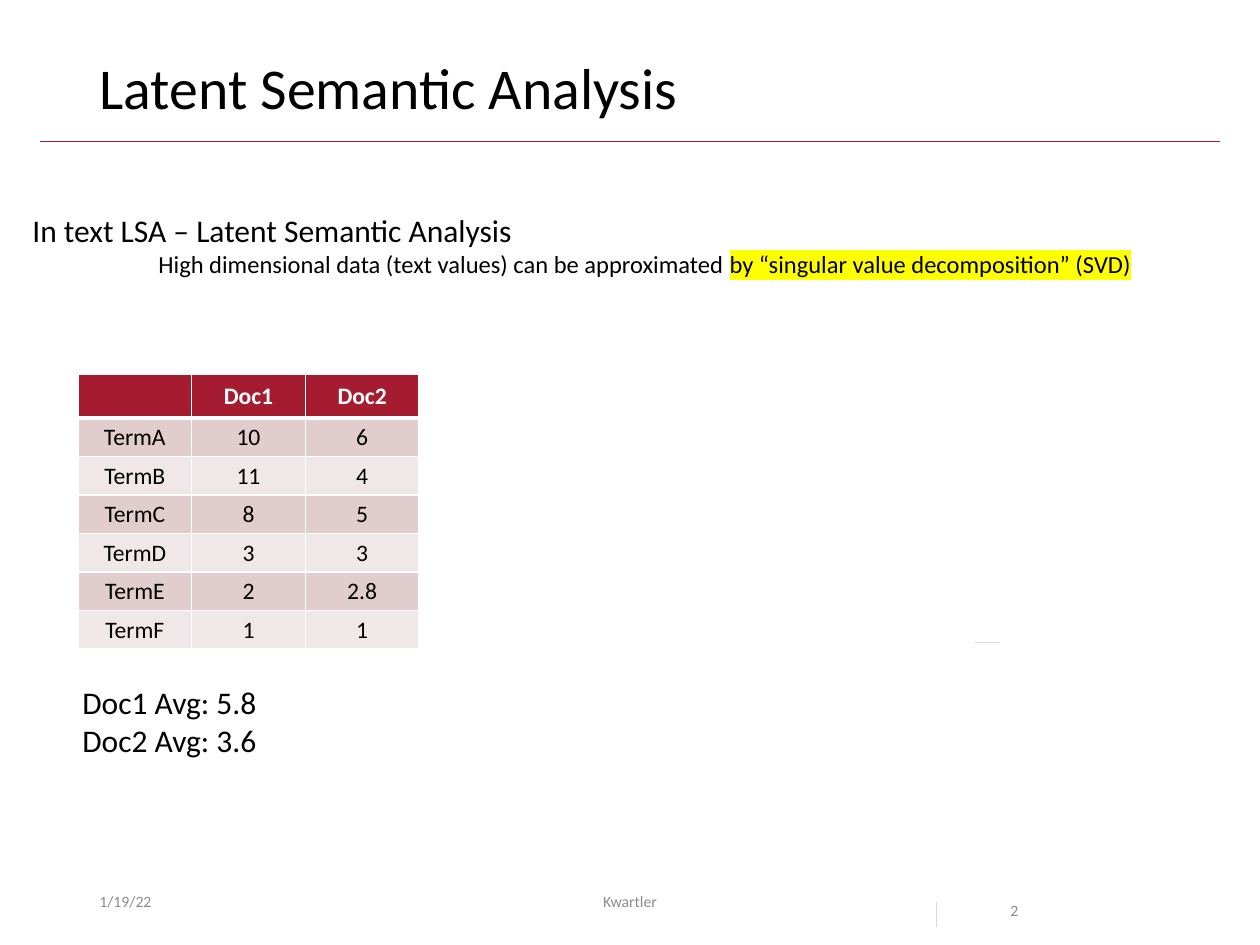
from lxml.etree import SubElement
from pptx import Presentation
from pptx.dml.color import RGBColor
from pptx.enum.shapes import MSO_CONNECTOR
from pptx.enum.text import MSO_ANCHOR as ANCHOR, MSO_AUTO_SIZE as AUTO, PP_ALIGN as ALIGN
from pptx.oxml import parse_xml
from pptx.oxml.ns import nsdecls, qn
from pptx.util import Pt

PX = 914400 // 126
FONT = "Calibri"
BLACK = RGBColor(0x00, 0x00, 0x00)
WHITE = RGBColor(0xFF, 0xFF, 0xFF)
GRAY = RGBColor(0x8C, 0x8C, 0x8C)
PALE_GRAY = RGBColor(0xD9, 0xD9, 0xD9)
CRIMSON = RGBColor(0xA5, 0x1C, 0x30)
PINK = RGBColor(0xE1, 0xCD, 0xCD)
PALE_PINK = RGBColor(0xF0, 0xE8, 0xE8)
YELLOW = RGBColor(0xFF, 0xFF, 0x00)

# Content
TITLE = "Latent Semantic Analysis"
INTRO = "In text LSA – Latent Semantic Analysis"
DETAIL = "High dimensional data (text values) can be approximated "
KEY_POINT = "by “singular value decomposition” (SVD)"
COUNTS = [
    ("", "Doc1", "Doc2"),
    ("TermA", "10", "6"),
    ("TermB", "11", "4"),
    ("TermC", "8", "5"),
    ("TermD", "3", "3"),
    ("TermE", "2", "2.8"),
    ("TermF", "1", "1"),
]
AVERAGES = ["Doc1 Avg: 5.8", "Doc2 Avg: 3.6"]
# text, box, alignment, anchor, line spacing
FOOTERS = [
    ("1/19/22", (87, 876, 284, 50), ALIGN.LEFT, ANCHOR.MIDDLE, 1),
    ("Kwartler", (417, 876, 426, 50), ALIGN.CENTER, ANCHOR.MIDDLE, 1),
    ("2", (998, 876, 118, 50), ALIGN.LEFT, ANCHOR.TOP, 2),
]
# start, end, colour
RULES = [
    ((40, 141), (1220, 141), CRIMSON),
    ((936, 902), (936, 927), PALE_GRAY),
    ((975, 642), (1000, 642), PALE_GRAY),
]
TABLE_BOX = (78, 374, 341, 275)
HEADER_H = 44


def emu(*lengths):
    return [int(n * PX) for n in lengths]


def add_run(p, text, size, color=BLACK, bold=False, highlight=None):
    r = p.add_run()
    r.text = text
    r.font.name, r.font.size, r.font.bold = FONT, Pt(size), bold
    r.font.color.rgb = color
    if highlight is not None:
        mark = parse_xml(f'<a:highlight {nsdecls("a")}><a:srgbClr val="{highlight}"/></a:highlight>')
        r.font._element.find(qn("a:solidFill")).addnext(mark)


def add_text_box(slide, box, wrap=True):
    tf = slide.shapes.add_textbox(*emu(*box)).text_frame
    tf.word_wrap = wrap
    return tf


def set_borders(cell, bottom_pt):
    tcPr = cell._tc.get_or_add_tcPr()
    for i, side in enumerate(("L", "R", "T", "B")):
        width = Pt(bottom_pt if side == "B" else 1)
        tcPr.insert(i, parse_xml(
            f'<a:ln{side} {nsdecls("a")} w="{width}"><a:solidFill>'
            f'<a:srgbClr val="{WHITE}"/></a:solidFill></a:ln{side}>'))


prs = Presentation()
prs.slide_width, prs.slide_height = emu(1260, 945)
slide = prs.slides.add_slide(prs.slide_layouts[5])

# Title
title = slide.shapes.title
title.left, title.top, title.width, title.height = emu(87, 50, 1086, 82)
tf = title.text_frame
tf.vertical_anchor = ANCHOR.MIDDLE
p = tf.paragraphs[0]
p.alignment, p.line_spacing = ALIGN.LEFT, 0.9
add_run(p, TITLE, 33)

# Rules
for start, end, color in RULES:
    line = slide.shapes.add_connector(MSO_CONNECTOR.STRAIGHT, *emu(*start, *end))
    line.line.color.rgb, line.line.width = color, Pt(0.5)
    SubElement(line._element.spPr, qn("a:effectLst"))

# Footer
for text, box, align, anchor, spacing in FOOTERS:
    tf = add_text_box(slide, box)
    tf.vertical_anchor = anchor
    p = tf.paragraphs[0]
    p.alignment, p.line_spacing = align, spacing
    add_run(p, text, 9, GRAY)

# Introduction, with the detail indented by one inch
tf = add_text_box(slide, (20, 205, 1221, 90))
tf.auto_size = AUTO.SHAPE_TO_FIT_TEXT
add_run(tf.paragraphs[0], INTRO, 18)
p = tf.add_paragraph()
p._p.get_or_add_pPr().set("marL", str(126 * PX))
add_run(p, DETAIL, 14)
add_run(p, KEY_POINT, 14, highlight=YELLOW)

# Term counts
n_rows, n_cols = len(COUNTS), len(COUNTS[0])
table = slide.shapes.add_table(n_rows, n_cols, *emu(*TABLE_BOX)).table
for col in table.columns:
    col.width = emu(TABLE_BOX[2] / n_cols)[0]
body_h = (TABLE_BOX[3] - HEADER_H) / (n_rows - 1)
for i, values in enumerate(COUNTS):
    header = i == 0
    table.rows[i].height = emu(HEADER_H if header else body_h)[0]
    fill = CRIMSON if header else (PINK if i % 2 else PALE_PINK)
    for j, value in enumerate(values):
        cell = table.cell(i, j)
        cell.fill.solid()
        cell.fill.fore_color.rgb = fill
        cell.margin_left = cell.margin_right = cell.margin_top = PX
        cell.margin_bottom = 0
        cell.vertical_anchor = ANCHOR.MIDDLE
        set_borders(cell, 3 if header else 1)
        if value:
            p = cell.text_frame.paragraphs[0]
            p.alignment = ALIGN.CENTER
            add_run(p, value, 13.5, WHITE if header else BLACK, header)

# Averages
tf = add_text_box(slide, (70, 677, 202, 90), wrap=False)
tf.auto_size = AUTO.SHAPE_TO_FIT_TEXT
for i, text in enumerate(AVERAGES):
    add_run(tf.add_paragraph() if i else tf.paragraphs[0], text, 18)

prs.save("out.pptx")
